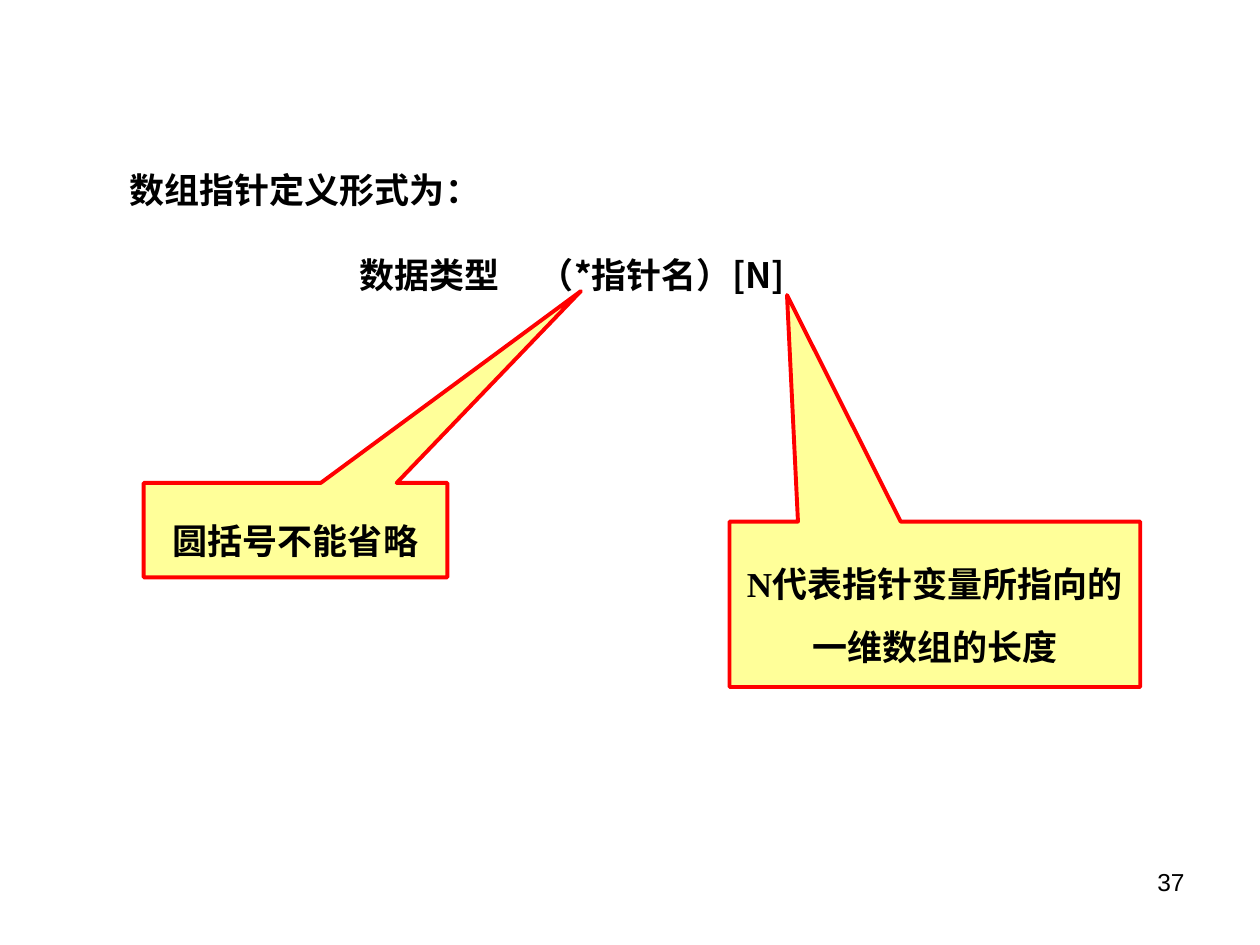
from dataclasses import dataclass

import pptx
import pptx.dml.color
import pptx.enum.shapes
import pptx.enum.text
import pptx.oxml
import pptx.oxml.ns
import pptx.util

Inches, Pt = pptx.util.Inches, pptx.util.Pt
ALIGN = pptx.enum.text.PP_ALIGN
SLIDE_WIDTH, SLIDE_HEIGHT = Inches(10), Inches(7.5)


@dataclass(frozen=True)
class Theme:
    ink: str = "000000"
    callout_fill: str = "FFFF99"
    callout_line: str = "FF0000"
    body_size: float = 20
    number_size: float = 14
    line_width: float = 2.25
    line_spacing: float = 1.5
    east_asian: str = "Noto Sans CJK SC"
    serif: str = "Times New Roman"
    sans: str = "Arial"


@dataclass(frozen=True)
class Area:
    """A rectangle in percent of the slide's width and height."""
    left: float
    top: float
    width: float
    height: float

    def box(self) -> tuple:
        return (int(SLIDE_WIDTH * self.left / 100), int(SLIDE_HEIGHT * self.top / 100),
                int(SLIDE_WIDTH * self.width / 100), int(SLIDE_HEIGHT * self.height / 100))


@dataclass(frozen=True)
class Callout:
    text: str
    area: Area
    tip: tuple[float, float]


THEME = Theme()
CALLOUTS = (
    Callout("N代表指针变量所指向的一维数组的长度", Area(57.9, 55.2, 32.6, 17.5), (-0.36, -1.87)),
    Callout("圆括号不能省略", Area(11.4, 51.1, 24.1, 10), (0.94, -2.53)),
)


def color(value: str) -> pptx.dml.color.RGBColor:
    return pptx.dml.color.RGBColor.from_string(value)


def format_run(run, latin: str, size: float, bold: bool = True) -> None:
    run.font.name, run.font.size, run.font.bold = latin, Pt(size), bold
    run.font.color.rgb = color(THEME.ink)
    east_asian = pptx.oxml.parse_xml(
        f'<a:ea {pptx.oxml.ns.nsdecls("a")} typeface="{THEME.east_asian}"/>')
    run.font._element.find(pptx.oxml.ns.qn("a:latin")).addnext(east_asian)


def add_definition(slide) -> None:
    frame = slide.shapes.add_textbox(*Area(3.3, 15, 84.2, 18.4).box()).text_frame
    frame.word_wrap = True
    heading, syntax = frame.paragraphs[0], frame.add_paragraph()
    heading.text = "数组指针定义形式为："
    heading._p.get_or_add_pPr().set("marL", str(Inches(0.6)))
    heading._p.get_or_add_pPr().set("indent", "0")
    for part in ("数据类型", " ", "（*指针名）[N]"):
        syntax.add_run().text = part
    syntax.alignment = ALIGN.CENTER
    syntax.space_before = Pt(12.5)
    for paragraph in frame.paragraphs:
        paragraph.line_spacing = THEME.line_spacing
        for run in paragraph.runs:
            format_run(run, THEME.east_asian, THEME.body_size)
    # Widen the single space between the type and the pointer name.
    syntax.runs[1].font._element.set("spc", "1800")


def add_callout(slide, callout: Callout) -> None:
    shape = slide.shapes.add_shape(
        pptx.enum.shapes.MSO_SHAPE.RECTANGULAR_CALLOUT, *callout.area.box())
    shape.adjustments[0], shape.adjustments[1] = callout.tip
    shape.shadow.inherit = False
    shape.fill.solid()
    shape.fill.fore_color.rgb = color(THEME.callout_fill)
    shape.line.color.rgb = color(THEME.callout_line)
    shape.line.width = Pt(THEME.line_width)
    frame = shape.text_frame
    frame.text = callout.text
    frame.word_wrap = True
    frame.vertical_anchor = pptx.enum.text.MSO_ANCHOR.MIDDLE
    paragraph = frame.paragraphs[0]
    paragraph.alignment = ALIGN.CENTER
    paragraph.line_spacing = THEME.line_spacing
    format_run(paragraph.runs[0], THEME.serif, THEME.body_size)


def add_page_number(slide, number: str) -> None:
    frame = slide.shapes.add_textbox(*Area(71.7, 91.1, 23.3, 6.9).box()).text_frame
    frame.text = number
    frame.word_wrap = True
    frame.paragraphs[0].alignment = ALIGN.RIGHT
    format_run(frame.paragraphs[0].runs[0], THEME.sans, THEME.number_size, bold=False)


def main() -> None:
    deck = pptx.Presentation()
    deck.slide_width, deck.slide_height = SLIDE_WIDTH, SLIDE_HEIGHT
    slide = deck.slides.add_slide(deck.slide_layouts.get_by_name("Blank"))
    add_definition(slide)
    for callout in CALLOUTS:
        add_callout(slide, callout)
    add_page_number(slide, "37")
    deck.save("out.pptx")


if __name__ == "__main__":
    main()
